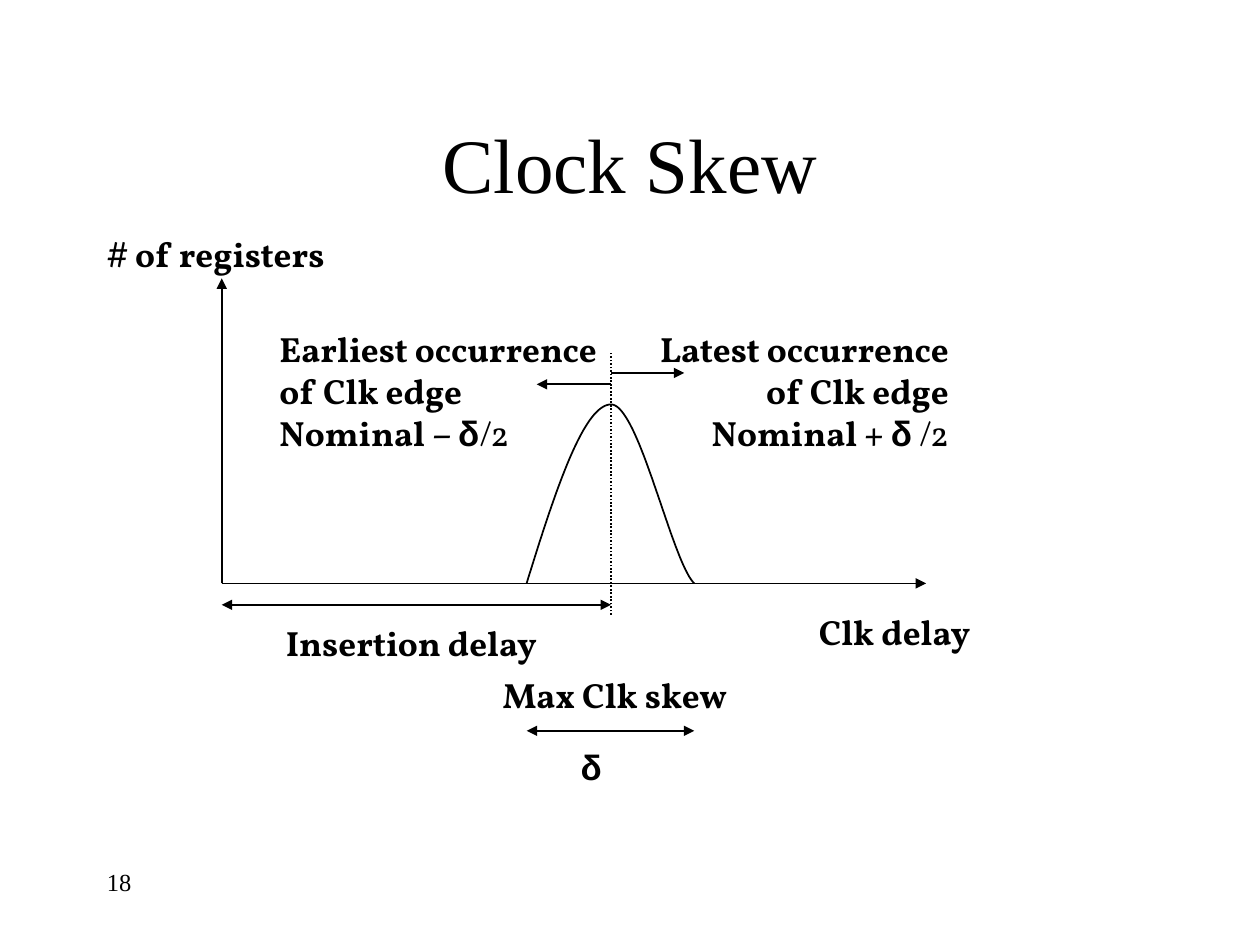
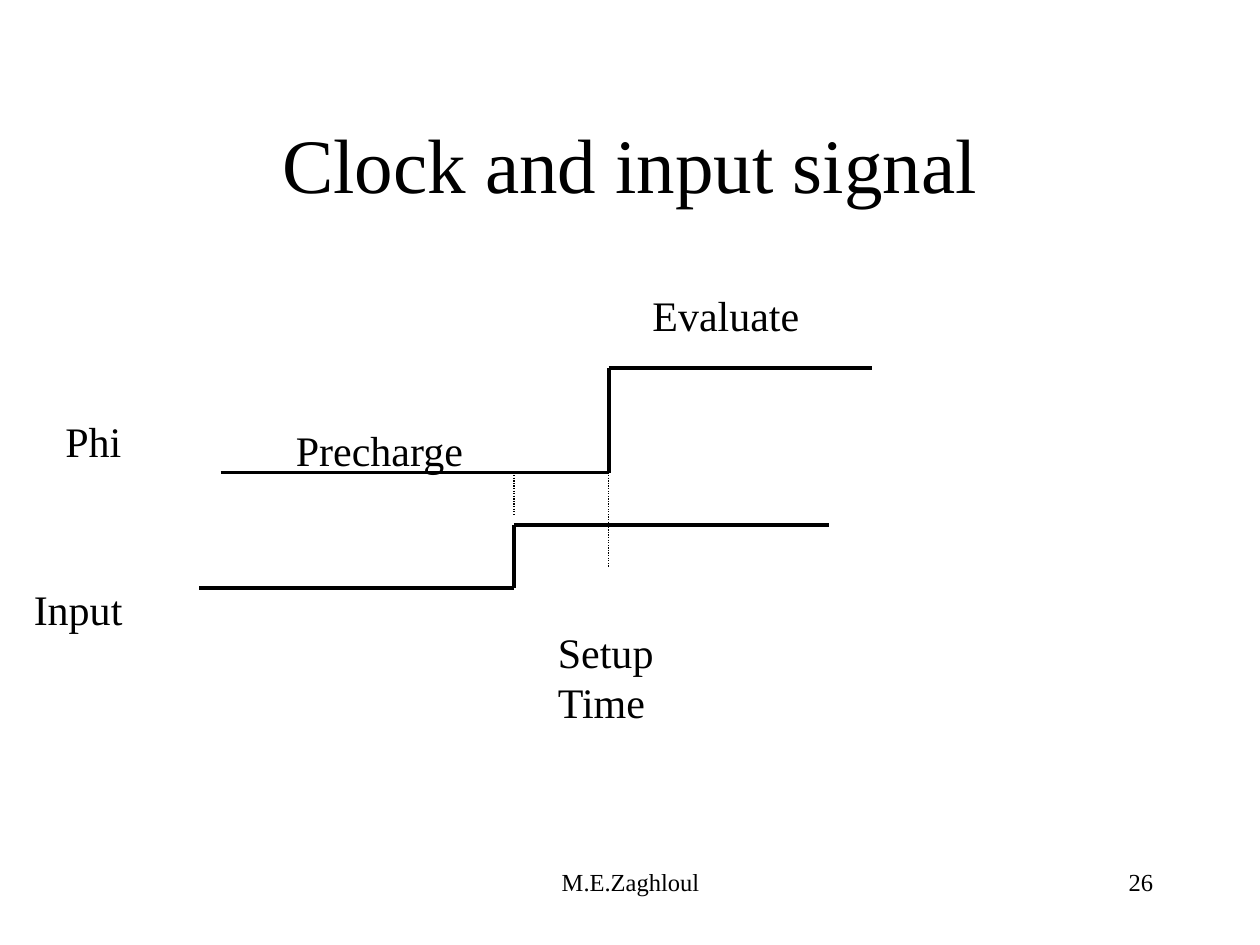
from dataclasses import dataclass

from lxml import etree
from pptx import Presentation
from pptx.dml.color import RGBColor
from pptx.enum.dml import MSO_LINE
from pptx.enum.shapes import MSO_CONNECTOR
from pptx.enum.text import MSO_ANCHOR, MSO_AUTO_SIZE, PP_ALIGN
from pptx.oxml.ns import qn
from pptx.slide import Slide
from pptx.text.text import Font
from pptx.util import Inches, Pt

LEFT, CENTER, RIGHT = PP_ALIGN.LEFT, PP_ALIGN.CENTER, PP_ALIGN.RIGHT
MIDDLE = MSO_ANCHOR.MIDDLE
FIT_SHAPE, NO_FIT = MSO_AUTO_SIZE.SHAPE_TO_FIT_TEXT, MSO_AUTO_SIZE.NONE
STRAIGHT = MSO_CONNECTOR.STRAIGHT
DOTTED = MSO_LINE.ROUND_DOT  # saved as sysDot

COLORS = {"ink": "000000", "paper": "FFFFFF"}
SERIF, DIAGRAM, GREEK = "Times New Roman", "Vollkorn", "Arial"
TITLE_ONLY = 5

Point = tuple[float, float]


@dataclass(frozen=True)
class TextStyle:
    font: str
    size: float
    bold: bool = False
    space_before: float = 0
    wrap: bool = True
    grow: bool = True


FOOTER = TextStyle(SERIF, 14, grow=False)
AXIS_LABEL = TextStyle(DIAGRAM, 20, bold=True, wrap=False)
DELTA_LABEL = TextStyle(GREEK, 20, bold=True)
SIGNAL_LABEL = TextStyle(SERIF, 24, space_before=15)


@dataclass(frozen=True)
class Run:
    text: str
    font: str = DIAGRAM
    bold: bool = True


@dataclass(frozen=True)
class Label:
    text: str
    left: float
    top: float
    width: float
    height: float
    style: TextStyle
    alignment: PP_ALIGN = LEFT
    formula: tuple[Run, ...] = ()  # closing paragraph in mixed fonts


@dataclass(frozen=True)
class Line:
    start: Point
    end: Point
    weight: float = 1
    dotted: bool = False
    start_arrow: bool = False
    end_arrow: bool = False


def color(name: str) -> RGBColor:
    return RGBColor.from_string(COLORS[name])


def format_font(font: Font, style: TextStyle) -> None:
    font.name = style.font
    font.size = Pt(style.size)
    font.bold = style.bold
    font.color.rgb = color("ink")


def add_label(slide: Slide, label: Label) -> None:
    style = label.style
    box = slide.shapes.add_textbox(
        Inches(label.left), Inches(label.top), Inches(label.width), Inches(label.height)
    )
    frame = box.text_frame
    frame.word_wrap = style.wrap
    frame.auto_size = FIT_SHAPE if style.grow else NO_FIT
    frame.text = label.text
    if label.formula:
        paragraph = frame.add_paragraph()
        for part in label.formula:
            run = paragraph.add_run()
            run.text = part.text
            run.font.name = part.font
            run.font.bold = part.bold
    for paragraph in frame.paragraphs:
        paragraph.alignment = label.alignment
        paragraph.space_before = Pt(style.space_before)
        format_font(paragraph.font, style)


def add_line(slide: Slide, line: Line) -> None:
    connector = slide.shapes.add_connector(
        STRAIGHT, *(Inches(value) for value in line.start + line.end)
    )
    connector.line.color.rgb = color("ink")
    connector.line.width = Pt(line.weight)
    if line.dotted:
        connector.line.dash_style = DOTTED
    properties = connector._element.spPr
    outline = properties.find(qn("a:ln"))
    for tag, wanted in (("a:headEnd", line.start_arrow), ("a:tailEnd", line.end_arrow)):
        if wanted:
            etree.SubElement(outline, qn(tag), type="triangle")
    etree.SubElement(properties, qn("a:effectLst"))


def bezier(p0: Point, p1: Point, p2: Point, p3: Point, steps: int = 40) -> list[Point]:
    """Points along a cubic curve, without its first one."""
    points = []
    for step in range(1, steps + 1):
        t = step / steps
        weights = ((1 - t) ** 3, 3 * t * (1 - t) ** 2, 3 * t**2 * (1 - t), t**3)
        x, y = (
            sum(weight * value for weight, value in zip(weights, values))
            for values in zip(p0, p1, p2, p3)
        )
        points.append((x, y))
    return points


def add_curve(slide: Slide, points: list[Point]) -> None:
    # Freeform vertices are whole numbers, so they are given in EMU
    vertices = [(Inches(x), Inches(y)) for x, y in points]
    builder = slide.shapes.build_freeform(*vertices[0])
    builder.add_line_segments(vertices[1:], close=False)
    curve = builder.convert_to_shape()
    curve.fill.background()
    curve.line.color.rgb = color("ink")
    curve.line.width = Pt(1)
    curve.shadow.inherit = False


def add_titled_slide(presentation: Presentation, title: str) -> Slide:
    slide = presentation.slides.add_slide(presentation.slide_layouts[TITLE_ONLY])
    slide.background.fill.solid()
    slide.background.fill.fore_color.rgb = color("paper")
    shape = slide.shapes.title
    shape.left, shape.top = Inches(0.75), Inches(0.67)
    shape.width, shape.height = Inches(8.5), Inches(1.25)
    frame = shape.text_frame
    frame.text = title
    frame.auto_size = NO_FIT
    frame.vertical_anchor = MIDDLE
    paragraph = frame.paragraphs[0]
    paragraph.alignment = CENTER
    format_font(paragraph.font, TextStyle(SERIF, 44))
    return slide


def add_footer(
    slide: Slide, text: str, left: float, width: float, alignment: PP_ALIGN
) -> None:
    add_label(slide, Label(text, left, 6.83, width, 0.5, FOOTER, alignment))


def build_clock_skew(presentation: Presentation) -> None:
    slide = add_titled_slide(presentation, "Clock Skew")
    add_footer(slide, "18", 0.75, 2.08, LEFT)

    # Axes, distribution curve and dimension arrows
    axis_x, base_y = 1.76, 4.63
    early_x, nominal_x, late_x, peak_y = 4.18, 4.85, 5.51, 3.21
    origin, early = (axis_x, base_y), (early_x, base_y)
    peak, late = (nominal_x, peak_y), (late_x, base_y)
    lines = (
        Line(origin, (axis_x, 2.21), end_arrow=True),
        Line(origin, (7.35, base_y), end_arrow=True),
        Line((axis_x, 4.8), (nominal_x, 4.8), start_arrow=True, end_arrow=True),
        Line((early_x, 5.8), (late_x, 5.8), start_arrow=True, end_arrow=True),
        Line((nominal_x, 3.05), (4.26, 3.05), end_arrow=True),
        Line((nominal_x, 4.88), (nominal_x, 2.79), dotted=True),
        Line((nominal_x, 2.96), (5.43, 2.96), end_arrow=True),
    )
    for line in lines:
        add_line(slide, line)
    rise = bezier(early, (4.4, 3.92), (4.63, peak_y), peak)
    fall = bezier(peak, (5.07, peak_y), (5.33, 4.45), late)
    add_curve(slide, [early] + rise + fall)

    # Labels
    delta = Run("δ", GREEK)
    earliest = (Run("Nominal – "), delta, Run("/2", bold=False))
    latest = (Run("Nominal + "), delta, Run(" /2", bold=False))
    labels = (
        Label("# of registers", 0.75, 1.8, 2.04, 0.44, AXIS_LABEL),
        Label("Clk delay", 6.4, 4.8, 1.46, 0.44, AXIS_LABEL),
        Label("Insertion delay", 2.17, 4.88, 2.3, 0.44, AXIS_LABEL),
        Label("Max Clk skew", 3.89, 5.3, 2.08, 0.44, AXIS_LABEL),
        Label("Earliest occurrence\vof Clk edge", 2.12, 2.55, 2.86, 1.1,
              AXIS_LABEL, LEFT, earliest),
        Label("Latest occurrence\vof Clk edge", 4.94, 2.55, 2.69, 1.15,
              AXIS_LABEL, RIGHT, latest),
        Label("δ", 4.51, 5.87, 0.49, 0.44, DELTA_LABEL),
    )
    for label in labels:
        add_label(slide, label)


def add_step(
    slide: Slide, start_x: float, edge_x: float, end_x: float, low_y: float, high_y: float
) -> None:
    """Draw a signal that rises from low to high at edge_x."""
    corners = [(start_x, low_y), (edge_x, low_y), (edge_x, high_y), (end_x, high_y)]
    for start, end in zip(corners, corners[1:]):
        add_line(slide, Line(start, end, weight=2.25))


def build_input_signal(presentation: Presentation) -> None:
    slide = add_titled_slide(presentation, "Clock and input signal")
    add_footer(slide, "M.E.Zaghloul", 3.42, 3.17, CENTER)
    add_footer(slide, "26", 7.17, 2.08, RIGHT)

    # Signal steps, with dotted guides marking the setup time
    phi_edge, input_edge, phi_low = 4.83, 4.08, 3.75
    add_step(slide, 1.75, phi_edge, 6.92, phi_low, 2.92)
    add_step(slide, 1.58, input_edge, 6.58, 4.67, 4.17)
    for edge_x, bottom in ((input_edge, 4.08), (phi_edge, 4.5)):
        add_line(slide, Line((edge_x, phi_low), (edge_x, bottom), 0.75, dotted=True))

    # Labels
    labels = (
        Label("Phi", 0.42, 3.25, 1.42, 0.5, SIGNAL_LABEL),
        Label("Input", 0.17, 4.58, 1.17, 0.5, SIGNAL_LABEL),
        Label("Precharge", 2.25, 3.32, 1.58, 0.5, SIGNAL_LABEL),
        Label("Evaluate", 5.08, 2.25, 1.75, 0.5, SIGNAL_LABEL),
        Label("Setup Time", 4.33, 4.92, 1.5, 0.9, SIGNAL_LABEL),
    )
    for label in labels:
        add_label(slide, label)


def main() -> None:
    presentation = Presentation()
    presentation.slide_width = Inches(10)
    presentation.slide_height = Inches(7.5)
    build_clock_skew(presentation)
    build_input_signal(presentation)
    presentation.save("out.pptx")


if __name__ == "__main__":
    main()
